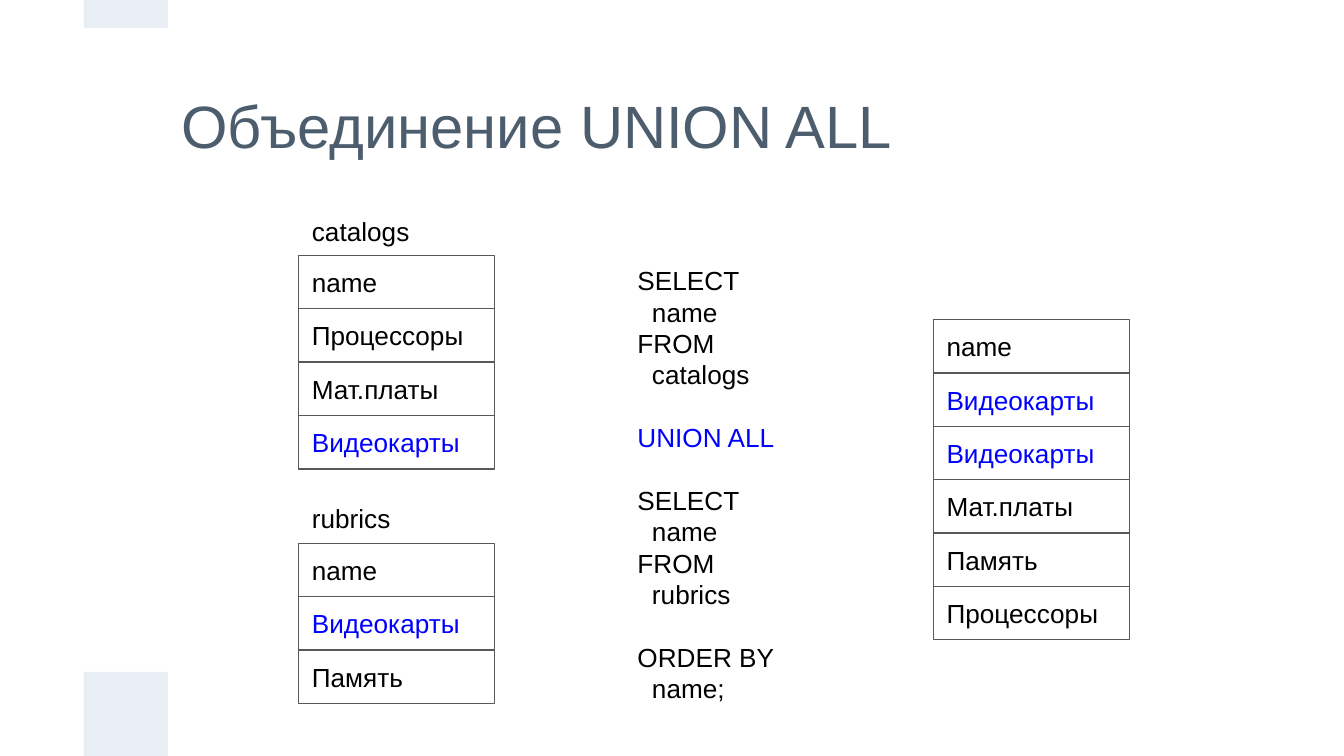
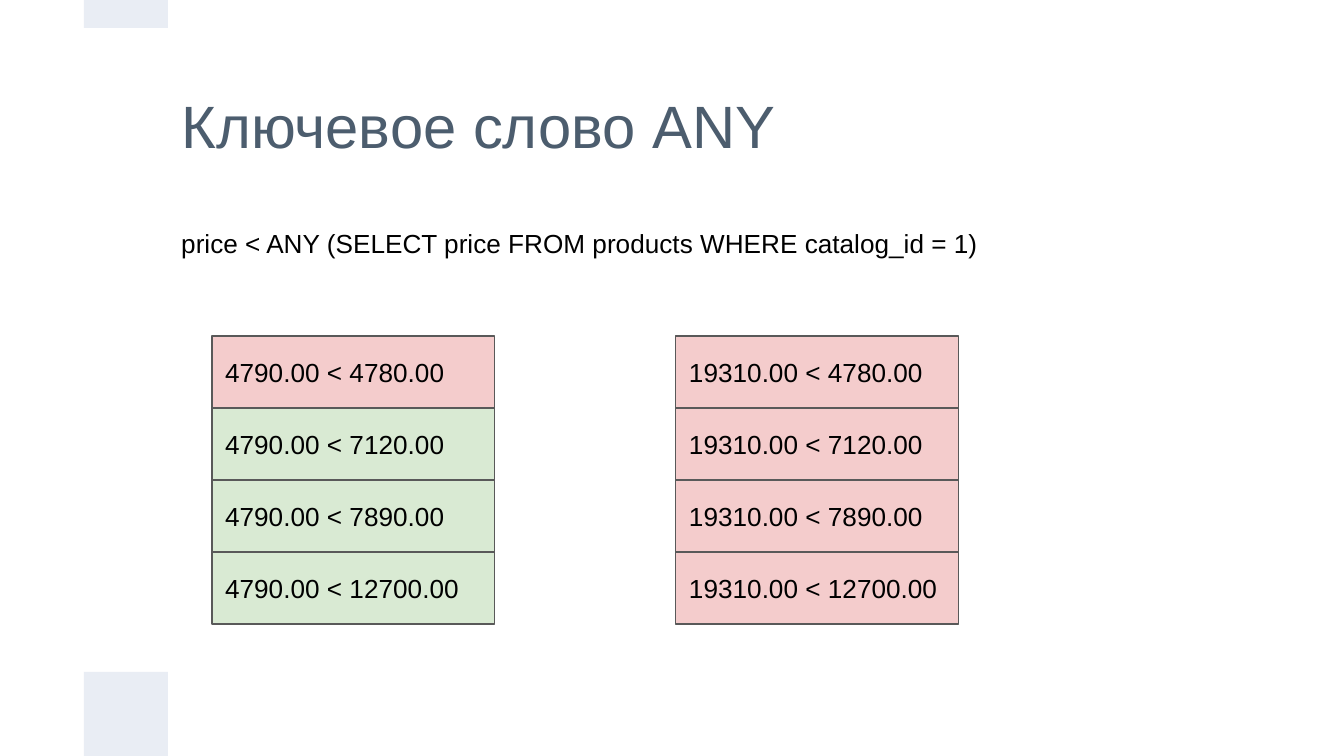
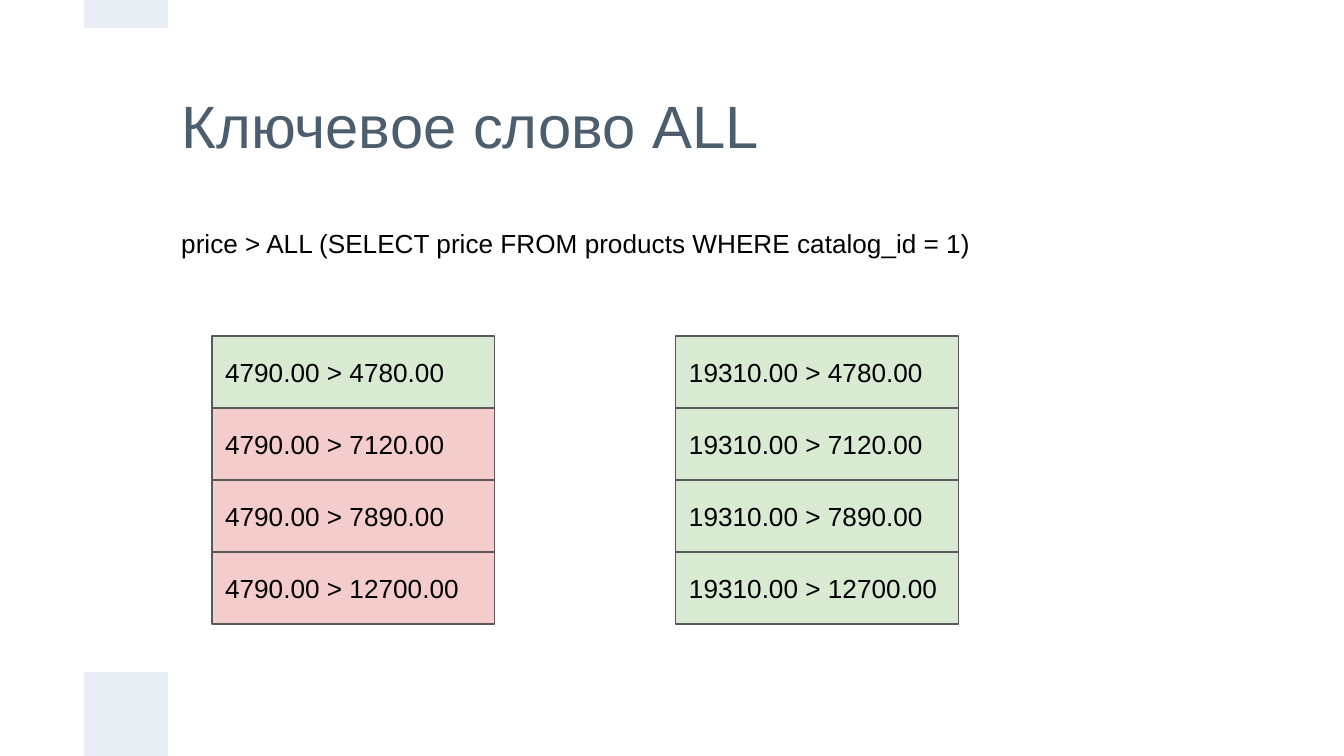
"""Build three slides on SQL set operations and subquery keywords."""
import pptx
import pptx.dml.color
import pptx.enum.shapes
import pptx.enum.text
import pptx.util

Pt = pptx.util.Pt
COLOURS = {
    "title": "4C5D6E",
    "text": "000000",
    "highlight": "0000FF",
    "band": "E9EDF4",
    "border": "595959",
    "true": "D9EAD3",
    "false": "F4CCCC",
}
HIGHLIGHTED = ("Видеокарты", "UNION ALL")
LINE_HEIGHT = 16.8
INDENT = 7.8


class Deck:
    """Hold the shared style and the current slide."""

    def __init__(self):
        self.presentation = pptx.Presentation()
        self.presentation.slide_width = Pt(720)
        self.presentation.slide_height = Pt(405)
        self.slide = None

    def colour(self, name):
        return pptx.dml.color.RGBColor.from_string(COLOURS[name])

    def format_frame(self, frame, anchor):
        frame.word_wrap = True
        frame.auto_size = pptx.enum.text.MSO_AUTO_SIZE.NONE
        frame.vertical_anchor = anchor
        frame.margin_left = frame.margin_right = Pt(7.2)
        frame.margin_top = frame.margin_bottom = Pt(7.2)

    def format_paragraph(self, paragraph, size=14, colour="text"):
        paragraph.alignment = pptx.enum.text.PP_ALIGN.LEFT
        for run in paragraph.runs:
            run.font.name = "Arial"
            run.font.size = Pt(size)
            run.font.color.rgb = self.colour(colour)

    def text_colour(self, text):
        return "highlight" if text in HIGHLIGHTED else "text"

    def add_slide(self, title):
        layout = self.presentation.slide_layouts[5]
        self.slide = self.presentation.slides.add_slide(layout)
        shape = self.slide.shapes.title
        shape.left, shape.top = Pt(90), Pt(36)
        shape.width, shape.height = Pt(540), Pt(62)
        shape.text_frame.text = title
        self.format_frame(shape.text_frame, pptx.enum.text.MSO_ANCHOR.MIDDLE)
        self.format_paragraph(shape.text_frame.paragraphs[0], 32, "title")
        self.rectangle(45, 360, 45, 45, fill="band")
        self.rectangle(45, 0, 45, 15, fill="band")

    def rectangle(self, left, top, width, height, fill=None, border=None):
        shape = self.slide.shapes.add_shape(
            pptx.enum.shapes.MSO_SHAPE.RECTANGLE,
            Pt(left), Pt(top), Pt(width), Pt(height))
        shape.shadow.inherit = False
        if fill:
            shape.fill.solid()
            shape.fill.fore_color.rgb = self.colour(fill)
        else:
            shape.fill.background()
        if border:
            shape.line.color.rgb = self.colour(border)
            shape.line.width = Pt(0.75)
        else:
            shape.line.fill.background()
        return shape

    def column(self, left, top, width, height, cells):
        for row, (text, fill) in enumerate(cells):
            shape = self.rectangle(left, top + row * height, width, height, fill, "border")
            frame = shape.text_frame
            frame.text = text
            self.format_frame(frame, pptx.enum.text.MSO_ANCHOR.MIDDLE)
            self.format_paragraph(frame.paragraphs[0], colour=self.text_colour(text))

    def name_column(self, left, top, names):
        self.column(left, top, 105, 28.6, [(name, None) for name in ("name", *names)])

    def text_box(self, left, top, width, height, text):
        shape = self.slide.shapes.add_textbox(Pt(left), Pt(top), Pt(width), Pt(height))
        frame = shape.text_frame
        frame.text = text
        self.format_frame(frame, pptx.enum.text.MSO_ANCHOR.TOP)
        for paragraph in frame.paragraphs:
            self.format_paragraph(paragraph, colour=self.text_colour(paragraph.text))
        return frame

    def query(self, left, top, width, height, clauses):
        lines = [line for clause in clauses for line in clause]
        frame = self.text_box(left, top, width, height, "\n".join(lines))
        paragraphs = iter(frame.paragraphs)
        for number, clause in enumerate(clauses):
            for position, line in enumerate(clause):
                paragraph = next(paragraphs)
                paragraph.line_spacing = Pt(LINE_HEIGHT)
                if number and position == 0:
                    paragraph.space_before = Pt(LINE_HEIGHT)
                if line.islower():
                    properties = paragraph._p.get_or_add_pPr()
                    properties.set("marL", str(int(Pt(INDENT))))
                    properties.set("indent", "0")

    def comparison_slide(self, keyword, sign):
        self.add_slide(f"Ключевое слово {keyword}")
        condition = f"price {sign} {keyword} (SELECT price FROM products WHERE catalog_id = 1)"
        self.text_box(90, 114.5, 447, 35, condition)
        for left, price in ((113.5, 4790), (362, 19310)):
            cells = []
            for limit in (4780, 7120, 7890, 12700):
                holds = price < limit if sign == "<" else price > limit
                cells.append((f"{price:.2f} {sign} {limit:.2f}", "true" if holds else "false"))
            self.column(left, 180, 151.5, 38.6, cells)


deck = Deck()
deck.add_slide("Объединение UNION ALL")
for table, top, names in (
    ("catalogs", 136.8, ("Процессоры", "Мат.платы", "Видеокарты")),
    ("rubrics", 291, ("Видеокарты", "Память")),
):
    deck.text_box(160, top - 28.8, 78.5, 28.8, table)
    deck.name_column(160, top, names)
deck.query(334.4, 134.6, 96, 245.5, (
    ("SELECT", "name", "FROM", "catalogs"),
    ("UNION ALL",),
    ("SELECT", "name", "FROM", "rubrics"),
    ("ORDER BY", "name;"),
))
deck.name_column(500, 171.2, ("Видеокарты", "Видеокарты", "Мат.платы", "Память", "Процессоры"))
deck.comparison_slide("ANY", "<")
deck.comparison_slide("ALL", ">")
deck.presentation.save("out.pptx")
